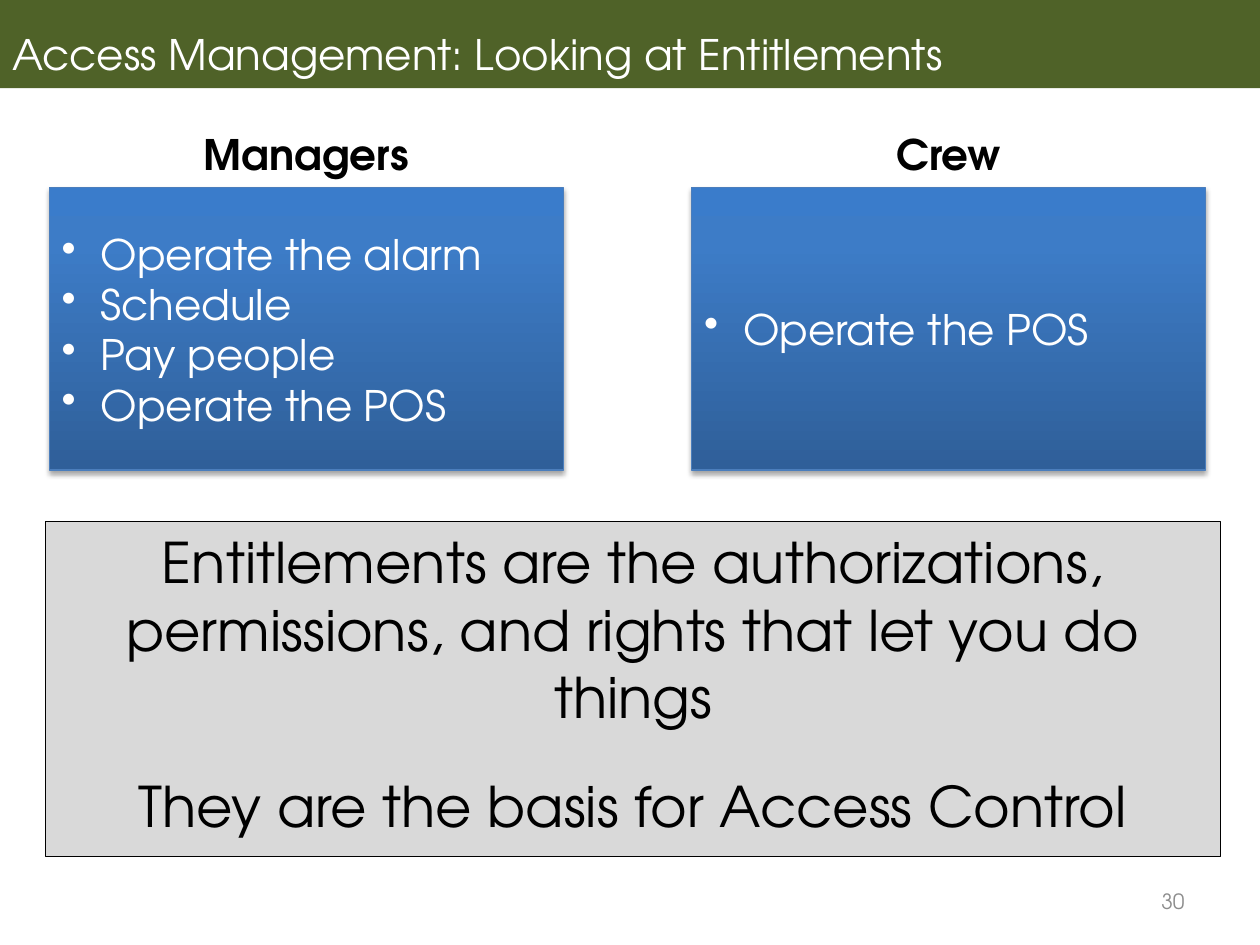
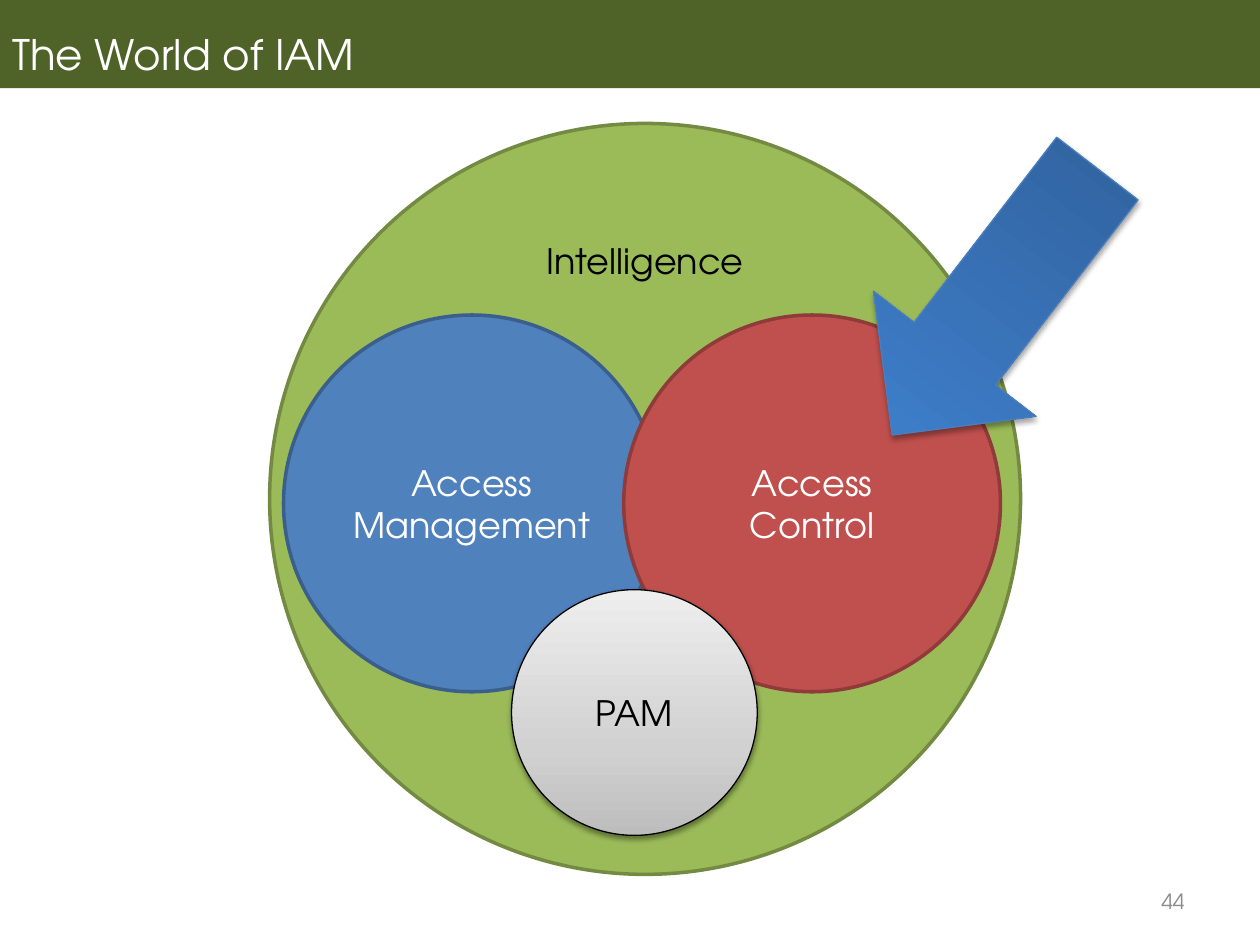
import collections
import dataclasses

import lxml.etree
import pptx
import pptx.dml.color
import pptx.enum.shapes
import pptx.enum.text
import pptx.oxml.ns
import pptx.util

Inches = pptx.util.Inches
Align = pptx.enum.text.PP_ALIGN
Anchor = pptx.enum.text.MSO_ANCHOR
Preset = pptx.enum.shapes.MSO_SHAPE

Box = collections.namedtuple("Box", "left top width height")
Look = collections.namedtuple("Look", "fill line line_width shadow_opacity", defaults=(None, 0.75, None))


@dataclasses.dataclass(frozen=True)
class Theme:
    font: str = "TeX Gyre Adventor"
    number_size: int = 12
    label_size: int = 20
    body_size: int = 24
    message_size: int = 32
    white: str = "FFFFFF"
    black: str = "000000"
    number_color: str = "8C8C8C"
    band: Look = Look("4F6228")
    message: Look = Look("D9D9D9", "000000")
    glossy: Look = Look(((0, "2F5F99"), (80, "3D7CC7"), (100, "3A7CCB")), "4B7EBC", 0.75, 35)
    silver: Look = Look(((0, "BDBDBD"), (35, "D1D1D1"), (100, "EEEEEE")), "000000", 0.75, 38)
    green: Look = Look("9BBB59", "738A42", 2)
    blue: Look = Look("4F81BD", "3A5F8C", 2)
    red: Look = Look("C0504D", "8E3B39", 2)


THEME = Theme()


def rgb(value):
    return pptx.dml.color.RGBColor.from_string(value)


def add_element(parent, tag, **attributes):
    element = lxml.etree.SubElement(parent, pptx.oxml.ns.qn(tag))
    for name, value in attributes.items():
        element.set(name, str(value))
    return element


def add_color(parent, value):
    return add_element(parent, "a:srgbClr", val=value)


def fill_gradient(shape, stops):
    shape.fill.gradient()
    shape.fill.gradient_angle = 90
    stop_list = shape.element.spPr.find(".//" + pptx.oxml.ns.qn("a:gsLst"))
    for stop in list(stop_list):
        stop_list.remove(stop)
    for position, color in stops:
        add_color(add_element(stop_list, "a:gs", pos=position * 1000), color)


def add_shadow(shape, opacity):
    effects = shape.element.spPr.find(pptx.oxml.ns.qn("a:effectLst"))
    shadow = add_element(effects, "a:outerShdw", blurRad=pptx.util.Pt(3.1), dist=pptx.util.Pt(1.8),
                         dir=5400000, rotWithShape=0)
    add_element(add_color(shadow, THEME.black), "a:alpha", val=opacity * 1000)


def add_figure(slide, preset, box, look):
    shape = slide.shapes.add_shape(preset, *map(Inches, box))
    shape.shadow.inherit = False
    if isinstance(look.fill, str):
        shape.fill.solid()
        shape.fill.fore_color.rgb = rgb(look.fill)
    else:
        fill_gradient(shape, look.fill)
    if look.line:
        shape.line.color.rgb = rgb(look.line)
        shape.line.width = pptx.util.Pt(look.line_width)
    else:
        shape.line.fill.background()
    if look.shadow_opacity:
        add_shadow(shape, look.shadow_opacity)
    return shape


def add_bullet(paragraph):
    properties = paragraph._p.get_or_add_pPr()
    properties.set("marL", str(Inches(0.31)))
    properties.set("indent", str(Inches(-0.31)))
    add_element(properties, "a:buChar", char="•")


def write(shape, lines, size, color, align=Align.CENTER, anchor=Anchor.MIDDLE, bold=False, bulleted=False):
    frame = shape.text_frame
    frame.word_wrap = True
    frame.vertical_anchor = anchor
    frame.text = "\n".join(lines)
    for paragraph in frame.paragraphs:
        paragraph.alignment = align
        if bulleted:
            add_bullet(paragraph)
        paragraph.font.name = THEME.font
        paragraph.font.size = pptx.util.Pt(size)
        paragraph.font.bold = bold
        paragraph.font.color.rgb = rgb(color)
    return frame


def add_label(slide, box, text, size, color, **options):
    return write(slide.shapes.add_textbox(*map(Inches, box)), [text], size, color, **options)


def add_base_slide(presentation, title, number):
    slide = presentation.slides.add_slide(presentation.slide_layouts[6])
    band = add_figure(slide, Preset.RECTANGLE, Box(0, -0.01, 10, 0.71), THEME.band)
    frame = write(band, [title], THEME.body_size, THEME.white, align=Align.LEFT, anchor=Anchor.BOTTOM)
    frame.margin_bottom = Inches(0.07)
    frame.paragraphs[0].line_spacing = 0.9
    add_label(slide, Box(7.17, 6.95, 2.33, 0.4), number, THEME.number_size, THEME.number_color, align=Align.RIGHT)
    return slide


def add_role(slide, box, role, entitlements):
    heading_height = 0.5
    panel_offset = 0.52
    add_label(slide, box._replace(height=heading_height), role, THEME.body_size, THEME.black,
              anchor=Anchor.TOP, bold=True)
    panel_box = box._replace(top=box.top + panel_offset, height=box.height - panel_offset)
    panel = add_figure(slide, Preset.RECTANGLE, panel_box, THEME.glossy)
    write(panel, entitlements, THEME.body_size, THEME.white, align=Align.LEFT, bulleted=True)


def add_message(slide, box, lines):
    panel = add_figure(slide, Preset.RECTANGLE, box, THEME.message)
    frame = write(panel, lines, THEME.message_size, THEME.black, anchor=Anchor.TOP)
    for paragraph in frame.paragraphs[1:]:
        paragraph.space_before = pptx.util.Pt(24)


def add_circle(slide, left, top, diameter, look, text, color, anchor=Anchor.MIDDLE):
    circle = add_figure(slide, Preset.OVAL, Box(left, top, diameter, diameter), look)
    write(circle, [text], THEME.label_size, color, anchor=anchor)


def add_world(slide, box):
    add_circle(slide, box.left, box.top, box.width, THEME.green, "Intelligence", THEME.black, Anchor.TOP)
    domains = (("Access Management", THEME.blue), ("Access Control", THEME.red))
    for index, (domain, look) in enumerate(domains):
        add_circle(slide, box.left + 0.11 + 2.7 * index, box.top + 1.52, 2.99, look, domain, THEME.white)
    add_circle(slide, box.left + 1.92, box.top + 3.7, 1.95, THEME.silver, "PAM", THEME.black)
    pointer_box = Box(box.left + 4.94, box.top + 0.08, 1.63, 2.67)
    pointer = add_figure(slide, Preset.UP_ARROW, pointer_box, THEME.glossy)
    pointer.rotation = 217.6


def build_entitlements_slide(presentation):
    slide = add_base_slide(presentation, "Access Management: Looking at Entitlements", "30")
    roles = {
        "Managers": ["Operate the alarm", "Schedule", "Pay people", "Operate the POS"],
        "Crew": ["Operate the POS"],
    }
    for index, (role, entitlements) in enumerate(roles.items()):
        add_role(slide, Box(0.39 + 5.1 * index, 0.97, 4.08, 2.76), role, entitlements)
    add_message(slide, Box(0.36, 4.14, 9.33, 2.66), [
        "Entitlements are the authorizations, permissions, and rights that let you do things",
        "They are the basis for Access Control",
    ])


def build_world_slide(presentation):
    slide = add_base_slide(presentation, "The World of IAM", "44")
    add_world(slide, Box(2.14, 0.98, 5.96, 5.96))


def main():
    presentation = pptx.Presentation()
    presentation.slide_width = Inches(10)
    presentation.slide_height = Inches(7.5)
    build_entitlements_slide(presentation)
    build_world_slide(presentation)
    presentation.save("out.pptx")


if __name__ == "__main__":
    main()
